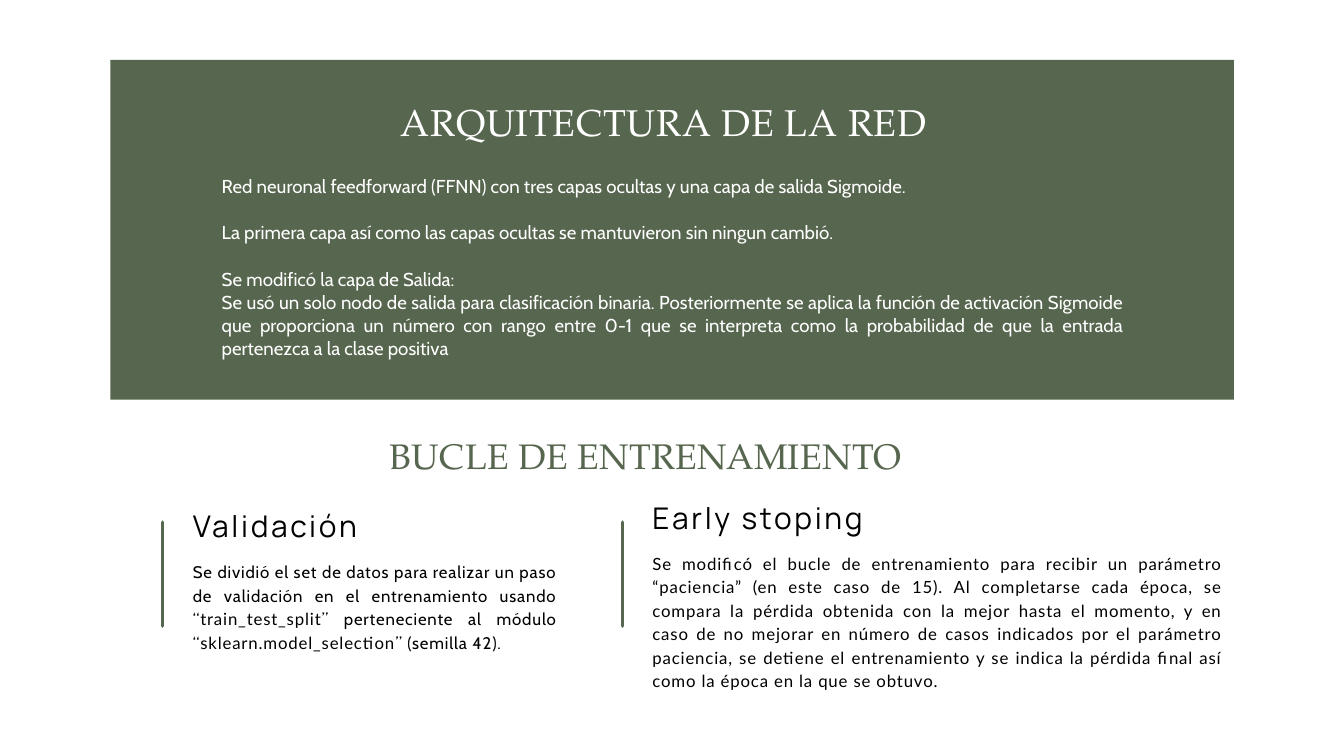
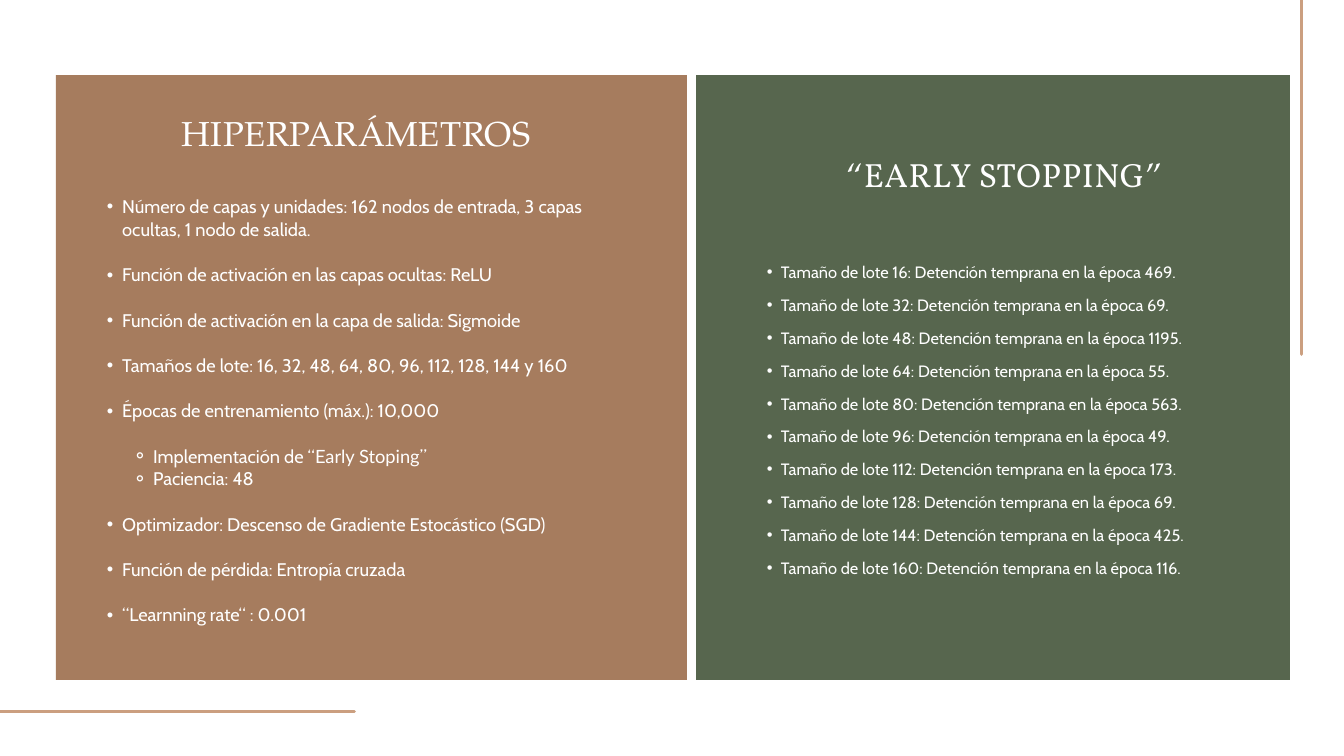
from dataclasses import dataclass
from typing import NamedTuple

from lxml import etree
from pptx import Presentation
from pptx.dml.color import RGBColor
from pptx.enum.shapes import MSO_CONNECTOR as Connector, MSO_SHAPE as Shape
from pptx.enum.text import MSO_AUTO_SIZE as AutoSize, PP_ALIGN as Align
from pptx.oxml.ns import qn
from pptx.slide import Slide
from pptx.util import Cm, Pt

# Shared colours and fonts
WHITE = RGBColor(0xFF, 0xFF, 0xFF)
BLACK = RGBColor(0x00, 0x00, 0x00)
GREEN = RGBColor(0x57, 0x66, 0x4E)
BROWN = RGBColor(0xA6, 0x7C, 0x5E)
SAND = RGBColor(0xCB, 0x9F, 0x80)
TITLE_FONT = "TeX Gyre Pagella"
TITLE_ALT_FONT = "Vollkorn"
HEADING_FONT = "Manrope"
BODY_FONT = "Cabin"
CODE_FONT = "Lato"


class Area(NamedTuple):
    """Left, top, width and height in centimetres."""
    left: float
    top: float
    width: float
    height: float


class Span(NamedTuple):
    text: str
    font: str = ""


class Bullet(NamedTuple):
    level: int
    mark: str
    margin: float
    hang: float


@dataclass
class Para:
    spans: list[Span]
    gap: bool = False
    bullet: Bullet | None = None


@dataclass
class Column:
    """A heading over a justified text, with a rule at its left."""
    rule_left: float
    top: float
    width: float
    heading: str
    body: Para
    font: str


def plain(text: str, gap: bool = False, bullet: Bullet | None = None) -> Para:
    return Para([Span(text)], gap, bullet)


def add_bullet(para, bullet: Bullet) -> None:
    para.level = bullet.level
    properties = para._p.get_or_add_pPr()
    properties.set("marL", str(Cm(bullet.margin)))
    properties.set("indent", str(-Cm(bullet.hang)))
    etree.SubElement(properties, qn("a:buFont")).set("typeface", "Arial")
    etree.SubElement(properties, qn("a:buChar")).set("char", bullet.mark)


def add_text(page: Slide, area: Area, content: list[Para], *, size: float,
             font: str, color: RGBColor, line: float, spacing: float = 0,
             align: Align = Align.LEFT) -> None:
    """Write paragraphs; a gap is as high as one line."""
    frame = page.shapes.add_textbox(*map(Cm, area)).text_frame
    frame.word_wrap = True
    frame.auto_size = AutoSize.SHAPE_TO_FIT_TEXT
    frame.margin_left = frame.margin_right = 0
    frame.margin_top = frame.margin_bottom = 0
    for index, item in enumerate(content):
        para = frame.add_paragraph() if index else frame.paragraphs[0]
        if item.bullet:
            add_bullet(para, item.bullet)
        para.alignment = align
        para.line_spacing = Pt(line)
        if item.gap:
            para.space_before = Pt(line)
        for span in item.spans:
            run = para.add_run()
            run.text = span.text
            run.font.name = span.font or font
            run.font.size = Pt(size)
            run.font.color.rgb = color
            if spacing:
                run._r.get_or_add_rPr().set("spc", str(round(spacing * 100)))


def add_title(page: Slide, area: Area, spans: list[Span], size: float,
              spacing: float = 0.7) -> None:
    add_text(page, area, [Para(spans)], size=size, font=TITLE_FONT,
             color=WHITE, line=size, spacing=spacing, align=Align.CENTER)


def add_panel(page: Slide, area: Area, color: RGBColor) -> None:
    panel = page.shapes.add_shape(Shape.RECTANGLE, *map(Cm, area))
    panel.shadow.inherit = False
    panel.fill.solid()
    panel.fill.fore_color.rgb = color
    panel.line.fill.background()


def add_rule(page: Slide, start: tuple[float, float],
             end: tuple[float, float], color: RGBColor) -> None:
    rule = page.shapes.add_connector(Connector.STRAIGHT,
                                     *map(Cm, (*start, *end)))
    rule.line.color.rgb = color
    rule.line.width = Pt(3.75)
    rule.line._get_or_add_ln().set("cap", "rnd")
    etree.SubElement(rule._element.spPr, qn("a:effectLst"))


def add_column(page: Slide, column: Column) -> None:
    left = column.rule_left + 1.14
    add_rule(page, (column.rule_left, 19.74), (column.rule_left, 23.67), GREEN)
    add_text(page, Area(left, column.top, column.width, 1.42),
             [plain(column.heading)], size=32, font=HEADING_FONT,
             color=BLACK, line=41.6, spacing=2.9)
    add_text(page, Area(left, column.top + 2.03, column.width, 5.18),
             [column.body], size=18, font=column.font, color=BLACK,
             line=25.2, spacing=0.9, align=Align.JUSTIFY)


# Slide 1: network and training loop
NETWORK = [
    plain("Red neuronal feedforward (FFNN) con tres capas ocultas y una capa "
          "de salida Sigmoide."),
    plain("La primera capa así como las capas ocultas se mantuvieron sin "
          "ningun cambió.", gap=True),
    plain("Se modificó la capa de Salida:", gap=True),
    plain("Se usó un solo nodo de salida para clasificación binaria. "
          "Posteriormente se aplica la función de activación Sigmoide que "
          "proporciona un número con rango entre 0-1 que se interpreta como "
          "la probabilidad de que la entrada pertenezca a la clase positiva"),
]
VALIDATION = Para([
    Span("Se dividió el set de datos para realizar un paso de validación en "
         "el entrenamiento usando “"),
    Span("train_test_split", CODE_FONT),
    Span("” perteneciente al módulo “"),
    Span("sklearn.model_selection", CODE_FONT),
    Span("” (semilla 42)."),
])
EARLY_STOP = plain(
    "Se modificó el bucle de entrenamiento para recibir un parámetro "
    "“paciencia” (en este caso de 15). Al completarse cada época, se compara "
    "la pérdida obtenida con la mejor hasta el momento, y en caso de no "
    "mejorar en número de casos indicados por el parámetro paciencia, se "
    "detiene el entrenamiento y se indica la pérdida final así como la época "
    "en la que se obtuvo.")
COLUMNS = [
    Column(6.15, 19.08, 13.77, "Validación", VALIDATION, BODY_FONT),
    Column(23.52, 18.77, 21.56, "Early stoping", EARLY_STOP, CODE_FONT),
]


def build_network_page(page: Slide) -> None:
    add_panel(page, Area(4.17, 2.26, 42.47, 12.85), GREEN)
    add_title(page, Area(7.72, 4.04, 34.75, 1.47),
              [Span("ARQUITECTURA DE LA RED")], size=40, spacing=0.8)
    add_text(page, Area(8.38, 6.58, 34.09, 6.99), NETWORK, size=20,
             font=BODY_FONT, color=WHITE, line=24.8, align=Align.JUSTIFY)
    add_text(page, Area(14.73, 16.18, 20.7, 1.75),
             [plain("BUCLE DE ENTRENAMIENTO")], size=38, font=TITLE_FONT,
             color=GREEN, line=51.7, spacing=0.4)
    for column in COLUMNS:
        add_column(page, column)


# Slide 2: hyperparameters and stopping epochs
DOT = Bullet(1, "•", 1.17, 0.58)
RING = Bullet(2, "⚬", 2.34, 0.79)
SMALL_DOT = Bullet(1, "•", 1.07, 0.53)
HYPERPARAMETERS = [
    plain("Número de capas y unidades: 162 nodos de entrada, 3 capas ocultas, "
          "1 nodo de salida.", bullet=DOT),
    plain("Función de activación en las capas ocultas: ReLU", True, DOT),
    plain("Función de activación en la capa de salida: Sigmoide", True, DOT),
    plain("Tamaños de lote: 16, 32, 48, 64, 80, 96, 112, 128, 144 y 160",
          True, DOT),
    plain("Épocas de entrenamiento (máx.): 10,000", True, DOT),
    Para([Span("Implementación de “"), Span("Early Stoping", CODE_FONT),
          Span("”")], True, RING),
    plain("Paciencia: 48", bullet=RING),
    plain("Optimizador: Descenso de Gradiente Estocástico (SGD)", True, DOT),
    plain("Función de pérdida: Entropía cruzada", True, DOT),
    plain("“Learnning rate“ : 0.001", True, DOT),
]
BATCH_STEP = 16
STOP_EPOCHS = [469, 69, 1195, 55, 563, 49, 173, 69, 425, 116]


def build_hyperparameter_page(page: Slide) -> None:
    add_rule(page, (0, 26.9), (13.39, 26.9), SAND)
    add_rule(page, (49.2, 0), (49.2, 13.39), SAND)

    # Left panel
    add_panel(page, Area(2.11, 2.84, 23.85, 22.86), BROWN)
    add_title(page, Area(5.94, 4.5, 15.06, 1.35), [Span("HIPERPARÁMETROS")],
              size=37)
    add_text(page, Area(3.45, 7.37, 20.04, 17.12), HYPERPARAMETERS,
             size=19.6, font=BODY_FONT, color=WHITE, line=24.3)

    # Right panel
    add_panel(page, Area(26.31, 2.84, 22.45, 22.86), GREEN)
    stops = [plain(f"Tamaño de lote {BATCH_STEP * number}: Detención temprana "
                   f"en la época {epoch}.", bullet=SMALL_DOT)
             for number, epoch in enumerate(STOP_EPOCHS, start=1)]
    add_text(page, Area(28.45, 9.4, 19.05, 12.32), stops, size=17.6,
             font=BODY_FONT, color=WHITE, line=35.3, align=Align.JUSTIFY)
    add_title(page, Area(30.28, 6.07, 15.37, 1.35),
              [Span("“"), Span("EARLY STOPPING", TITLE_ALT_FONT), Span("”")],
              size=36)


def main() -> None:
    deck = Presentation()
    deck.slide_width, deck.slide_height = Cm(50.8), Cm(28.58)
    blank = deck.slide_layouts[6]
    for build in (build_network_page, build_hyperparameter_page):
        build(deck.slides.add_slide(blank))
    deck.save("out.pptx")


if __name__ == "__main__":
    main()
